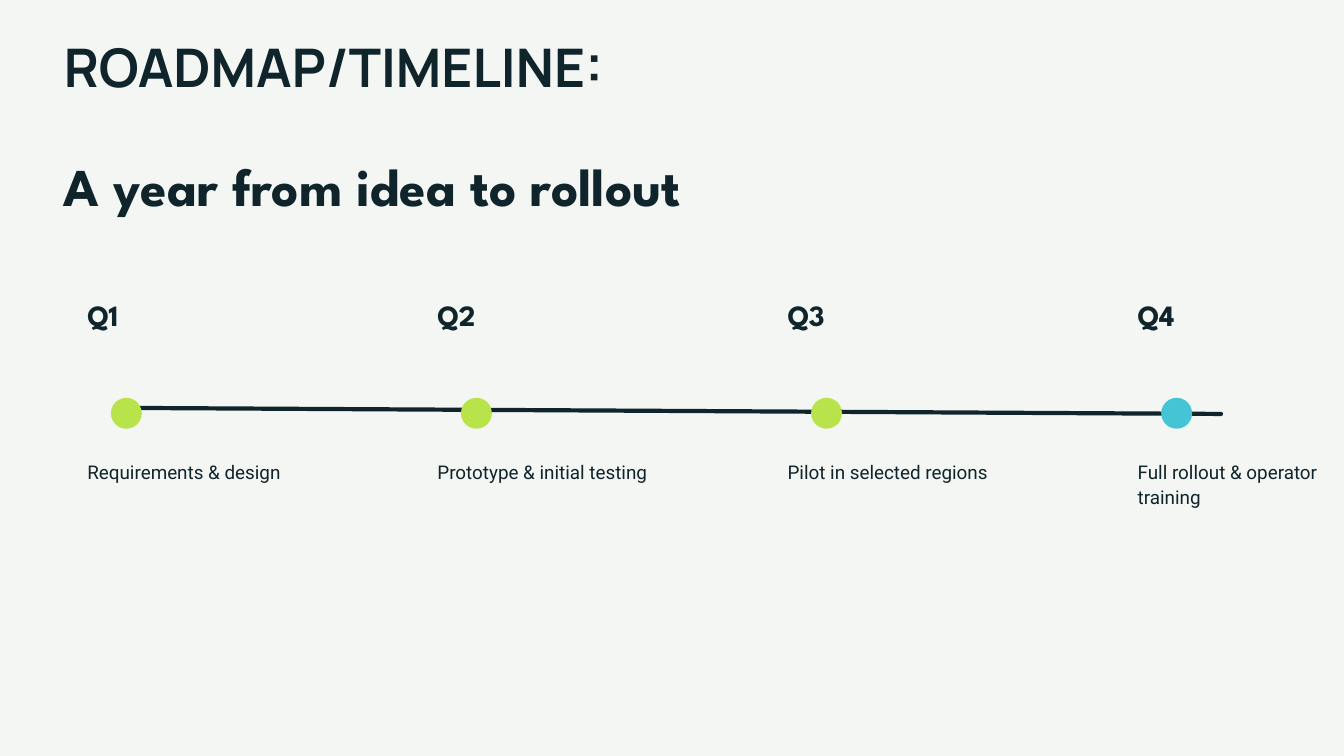
"""Build a roadmap slide with four quarterly milestones on a timeline."""
from lxml import etree
from pptx import Presentation
from pptx.dml.color import RGBColor
from pptx.enum import shapes, text
from pptx.oxml.ns import qn
from pptx.util import Inches, Pt

PAPER = RGBColor(0xF3, 0xF6, 0xF2)
INK = RGBColor(0x10, 0x24, 0x2B)
LIME = RGBColor(0xB8, 0xE3, 0x4A)
CYAN = RGBColor(0x45, 0xC4, 0xD6)

HEADLINE = {"name": "Manrope", "size": Pt(57), "bold": True}
SUBHEAD = {"name": "League Spartan", "size": Pt(57), "bold": True}
QUARTER = {"name": "League Spartan", "size": Pt(31.5), "bold": True}
DETAIL = {"name": "Roboto", "size": Pt(20.2), "bold": False}
FRAME = {
    "margin_left": 0, "margin_top": 0, "margin_right": 0, "margin_bottom": 0,
    "word_wrap": True,
    "auto_size": text.MSO_AUTO_SIZE.NONE,
    "vertical_anchor": text.MSO_ANCHOR.TOP,
}

MILESTONES = [
    ("Q1", "Requirements & design", LIME),
    ("Q2", "Prototype & initial testing", LIME),
    ("Q3", "Pilot in selected regions", LIME),
    ("Q4", "Full rollout & operator training", CYAN),
]
FIRST_LEFT, STEP, DOT = 1.3, 5.21, 0.46


def write(shape, wording, line_height, font_values):
    frame = shape.text_frame
    for name, value in FRAME.items():
        setattr(frame, name, value)
    paragraph = frame.paragraphs[0]
    paragraph.alignment = text.PP_ALIGN.LEFT
    paragraph.line_spacing = Pt(line_height)
    run = paragraph.add_run()
    run.text = wording
    for name, value in font_values.items():
        setattr(run.font, name, value)
    run.font.color.rgb = INK


def add_text(slide, left, top, width, height, *content):
    box = slide.shapes.add_textbox(
        Inches(left), Inches(top), Inches(width), Inches(height))
    write(box, *content)


presentation = Presentation()
presentation.slide_width = Inches(20)
presentation.slide_height = Inches(11.25)
slide = presentation.slides.add_slide(presentation.slide_layouts[5])
slide.background.fill.solid()
slide.background.fill.fore_color.rgb = PAPER

title = slide.shapes.title
title.left, title.top = Inches(0.95), Inches(0.65)
title.width, title.height = Inches(13.54), Inches(0.88)
write(title, "ROADMAP/TIMELINE:", 58.1, HEADLINE)
add_text(slide, 0.95, 2.43, 13.54, 0.74,
         "A year from idea to rollout", 58.1, SUBHEAD)

timeline = slide.shapes.add_connector(
    shapes.MSO_CONNECTOR.STRAIGHT,
    Inches(1.83), Inches(6.07), Inches(18.17), Inches(6.16))
timeline.line.color.rgb = INK
timeline.line.width = Pt(4.5)
properties = timeline._element.spPr
properties.find(qn("a:ln")).set("cap", "rnd")
etree.SubElement(properties, qn("a:effectLst"))

for index, (quarter, detail, color) in enumerate(MILESTONES):
    left = FIRST_LEFT + index * STEP
    dot = slide.shapes.add_shape(
        shapes.MSO_SHAPE.OVAL,
        Inches(left + 0.35), Inches(5.92), Inches(DOT), Inches(DOT))
    dot.shadow.inherit = False
    dot.fill.solid()
    dot.fill.fore_color.rgb = color
    dot.line.fill.background()
    add_text(slide, left, 4.5, 1.46, 0.39, quarter, 32.1, QUARTER)
    add_text(slide, left, 6.81, 3.44, 0.77 if index == 3 else 0.4,
             detail, 27.3, DETAIL)

presentation.save("out.pptx")
